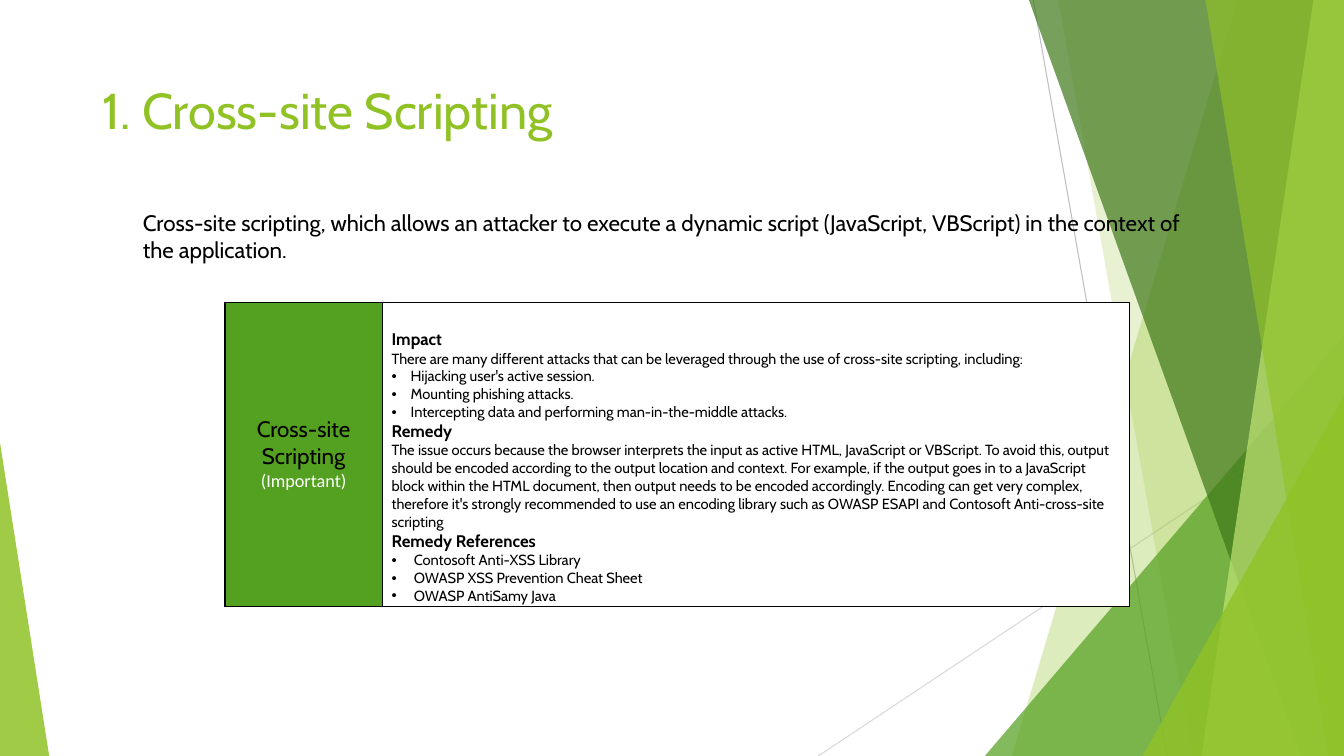
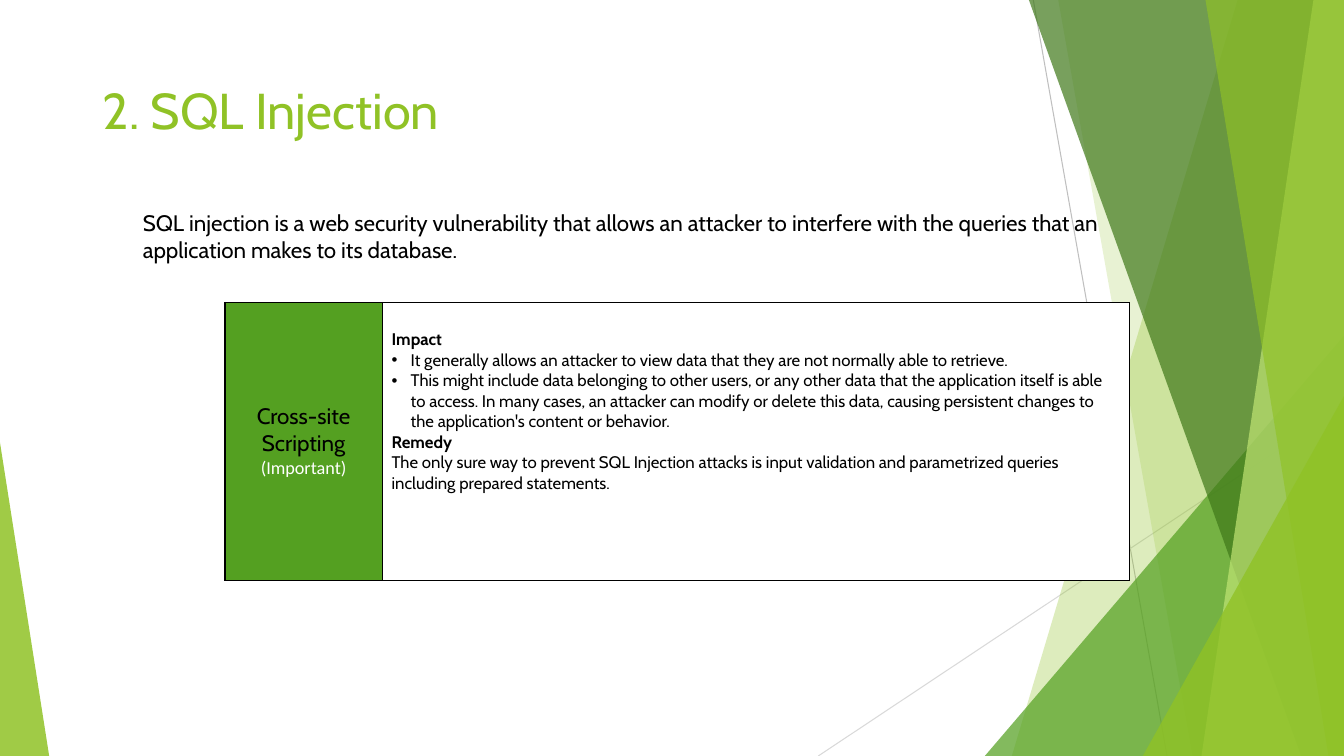
"""Build two slides on web security flaws, each with a summary table."""
import lxml.etree
import pptx
import pptx.dml.color
import pptx.enum.shapes
import pptx.enum.text
import pptx.oxml.ns
import pptx.util

Cm, Pt = pptx.util.Cm, pptx.util.Pt
qn = pptx.oxml.ns.qn
ALIGN = pptx.enum.text.PP_ALIGN
MIDDLE = pptx.enum.text.MSO_ANCHOR.MIDDLE

WIDE, HIGH = 33.87, 19.05
FONT = "Cabin"
LIME, GREEN, DARK, PALE = "90C226", "54A021", "3F7819", "C0E474"
BLACK, WHITE = "000000", "FFFFFF"

LINES = [
    (26.04, 0, 29.41, HIGH, "BFBFBF"),
    (WIDE, 10.24, 20.62, HIGH, "D9D9D9"),
]
FACETS = [
    ("band", 31.19, 25.5, LIME, 30),
    ("band", 26.67, 30.05, LIME, 20),
    ("right", 24.82, 8.46, GREEN, 72),
    ("band", 25.93, 32.79, DARK, 70),
    ("band", 33.1, 30.28, PALE, 70),
    ("band", 30.38, 33.48, LIME, 65),
    ("right", 28.8, 9.98, LIME, 80),
    ("left", 1.24, 11.15, LIME, 85),
]
HANG = {"bullet": 0.48, "link": 0.56}
LABEL = [("Cross-site Scripting", 16, FONT, BLACK), ("(Important)", 13, "Calibri", WHITE)]

SLIDES = [
    {
        "title": "1. Cross-site Scripting",
        "intro": "Cross-site scripting, which allows an attacker to execute a dynamic script "
                 "(JavaScript, VBScript) in the context of the application.",
        "size": 10.5,
        "high": 7.65,
        "body": [
            ("head", "Impact"),
            ("text", "There are many different attacks that can be leveraged through the use of "
                     "cross-site scripting, including:"),
            ("bullet", "Hijacking user's active session."),
            ("bullet", "Mounting phishing attacks."),
            ("bullet", "Intercepting data and performing man-in-the-middle attacks."),
            ("head", "Remedy"),
            ("text", "The issue occurs because the browser interprets the input as active HTML, "
                     "JavaScript or VBScript. To avoid this, output should be encoded according to "
                     "the output location and context. For example, if the output goes in to a "
                     "JavaScript block within the HTML document, then output needs to be encoded "
                     "accordingly. Encoding can get very complex, therefore it's strongly "
                     "recommended to use an encoding library such as OWASP ESAPI and Contosoft "
                     "Anti-cross-site scripting"),
            ("head", "Remedy References"),
            ("link", "Contosoft Anti-XSS Library"),
            ("link", "OWASP XSS Prevention Cheat Sheet"),
            ("link", "OWASP AntiSamy Java"),
        ],
    },
    {
        "title": "2. SQL Injection",
        "intro": "SQL injection is a web security vulnerability that allows an attacker to "
                 "interfere with the queries that an application makes to its database.",
        "size": 12,
        "high": 7.01,
        "body": [
            ("head", "Impact"),
            ("bullet", "It generally allows an attacker to view data that they are not normally "
                       "able to retrieve."),
            ("bullet", "This might include data belonging to other users, or any other data that "
                       "the application itself is able to access. In many cases, an attacker can "
                       "modify or delete this data, causing persistent changes to the "
                       "application's content or behavior."),
            ("head", "Remedy"),
            ("text", "The only sure way to prevent SQL Injection attacks is input validation and "
                     "parametrized queries including prepared statements."),
        ],
    },
]


def tint(code):
    return pptx.dml.color.RGBColor.from_string(code)


def paint(shape, code, alpha):
    shape.shadow.inherit = False
    shape.fill.solid()
    shape.fill.fore_color.rgb = tint(code)
    shape.line.fill.background()
    node = shape.fill._xPr.find(".//" + qn("a:srgbClr"))
    lxml.etree.SubElement(node, qn("a:alpha"), val=str(alpha * 1000))


def style(para, size, color=BLACK, bold=False, font=FONT):
    para.font.name = font
    para.font.size = Pt(size)
    para.font.bold = bold
    para.font.color.rgb = tint(color)


def decor(slide):
    group = slide.shapes.add_group_shape().shapes
    for left, top, right, low, code in LINES:
        line = group.add_connector(pptx.enum.shapes.MSO_CONNECTOR.STRAIGHT,
                                   Cm(left), Cm(top), Cm(right), Cm(low))
        line.line.color.rgb = tint(code)
        line.line.width = Pt(0.75)
        lxml.etree.SubElement(line._element.spPr, qn("a:effectLst"))
    for kind, first, second, code, alpha in FACETS:
        if kind == "band":
            form = group.build_freeform(Cm(first), 0)
            form.add_line_segments([(Cm(WIDE), 0), (Cm(WIDE), Cm(HIGH)), (Cm(second), Cm(HIGH))])
            shape = form.convert_to_shape()
        else:
            left, width = (first, WIDE - first) if kind == "right" else (0, first)
            shape = group.add_shape(pptx.enum.shapes.MSO_SHAPE.ISOSCELES_TRIANGLE,
                                    Cm(left), Cm(second), Cm(width), Cm(HIGH - second))
            shape.adjustments[0] = 1 if kind == "right" else 0
        paint(shape, code, alpha)


def write(slide, text, box, size, color=BLACK):
    frame = slide.shapes.add_textbox(*map(Cm, box)).text_frame
    frame.word_wrap = True
    para = frame.paragraphs[0]
    para.text = text
    style(para, size, color)
    return frame


def bullet(para, hang):
    props = para._p.get_or_add_pPr()
    props.set("marL", str(Cm(hang)))
    props.set("indent", str(-Cm(hang)))
    lxml.etree.SubElement(props, qn("a:buFont"), typeface="Arial")
    lxml.etree.SubElement(props, qn("a:buChar"), char="•")


def border(cell, shown):
    props = cell._tc.get_or_add_tcPr()
    for spot, side in enumerate("LRTB"):
        edge = lxml.etree.Element(qn("a:ln" + side), w=str(Pt(1)))
        if side in shown:
            fill = lxml.etree.SubElement(edge, qn("a:solidFill"))
            lxml.etree.SubElement(fill, qn("a:srgbClr"), val=BLACK)
        else:
            lxml.etree.SubElement(edge, qn("a:noFill"))
        props.insert(spot, edge)


def fill_in(cell, code, texts):
    cell.fill.solid()
    cell.fill.fore_color.rgb = tint(code)
    border(cell, "LRTB")
    cell.margin_left = cell.margin_right = Cm(0.24)
    frame = cell.text_frame
    for spot, text in enumerate(texts):
        para = frame.add_paragraph() if spot else frame.paragraphs[0]
        para.text = text
        yield para


def grid(slide, data):
    cols, rows = [3.96, 18.83], [0.94, data["high"]]
    table = slide.shapes.add_table(2, 2, Cm(5.67), Cm(6.68), Cm(sum(cols)), Cm(sum(rows))).table
    table.first_row = table.horz_banding = False
    for col, width in zip(table.columns, cols):
        col.width = Cm(width)
    for row, height in zip(table.rows, rows):
        row.height = Cm(height)
    for cell in table.rows[0].cells:
        cell.fill.background()
        cell.margin_top = cell.margin_bottom = 0
        border(cell, "B")
    label, body = table.rows[1].cells
    label.vertical_anchor = MIDDLE
    for para, (_, size, font, color) in zip(fill_in(label, GREEN, [row[0] for row in LABEL]), LABEL):
        para.alignment = ALIGN.CENTER
        style(para, size, color, font=font)
    body.margin_top = Cm(0.68)
    kinds, texts = zip(*data["body"])
    for para, kind in zip(fill_in(body, WHITE, texts), kinds):
        if kind in HANG:
            bullet(para, HANG[kind])
        head = kind == "head"
        style(para, 12 if head else data["size"], bold=head)


def main():
    deck = pptx.Presentation()
    deck.slide_width, deck.slide_height = Cm(WIDE), Cm(HIGH)
    for data in SLIDES:
        slide = deck.slides.add_slide(deck.slide_layouts[6])
        decor(slide)
        title = write(slide, data["title"], (2.34, 1.02, 29.21, 3.68), 36, LIME)
        title.vertical_anchor = MIDDLE
        title.paragraphs[0].line_spacing = 0.9
        grid(slide, data)
        write(slide, data["intro"], (3.35, 5.15, 26.77, 1.63), 16)
    deck.save("out.pptx")


if __name__ == "__main__":
    main()
